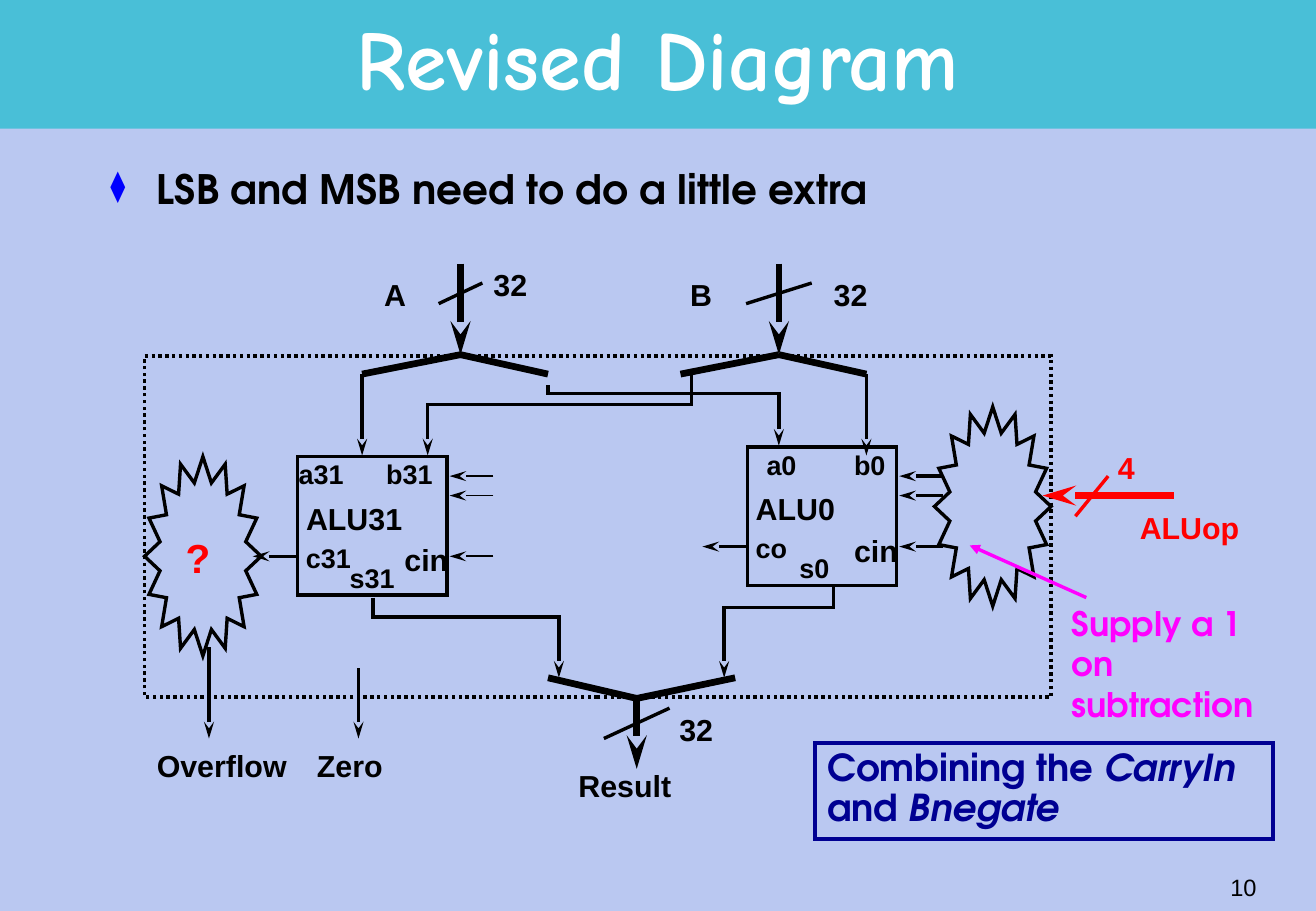
from lxml.etree import SubElement
from pptx import Presentation
from pptx.dml.color import RGBColor
from pptx.enum.dml import MSO_LINE
from pptx.enum.shapes import MSO_CONNECTOR, MSO_SHAPE
from pptx.enum.text import MSO_ANCHOR, PP_ALIGN
from pptx.oxml.ns import qn
from pptx.util import Inches, Pt

BACKGROUND = RGBColor(0xBA, 0xC8, 0xF1)
BANNER = RGBColor(0x49, 0xBF, 0xD7)
BLACK = RGBColor(0, 0, 0)
WHITE = RGBColor(255, 255, 255)
RED = RGBColor(255, 0, 0)
MAGENTA = RGBColor(255, 0, 255)
NAVY = RGBColor(0, 0, 0x92)
BODY_FONT = "TeX Gyre Adventor"
TITLE_FONT = "Comic Neue"
LABEL_FONT = "Arial"
ARROW_LENGTHS = {"stealth": "lg", "triangle": "med"}


def set_line(line, color, width, arrow=None):
    line.color.rgb = color
    line.width = Pt(width)
    outline = line._get_or_add_ln()
    SubElement(outline, qn("a:miter"), lim="800000")
    if arrow:
        SubElement(outline, qn("a:tailEnd"), type=arrow, w="med",
                   len=ARROW_LENGTHS[arrow])


def add_wire(page, start, end, width=2, arrow=None, color=BLACK):
    wire = page.shapes.add_connector(
        MSO_CONNECTOR.STRAIGHT, *[Inches(n) for n in (*start, *end)])
    set_line(wire.line, color, width, arrow)
    SubElement(wire._element.spPr, qn("a:effectLst"))


def add_bent_wire(page, points):
    corners = [(Inches(x), Inches(y)) for x, y in points]
    builder = page.shapes.build_freeform(*corners[0])
    builder.add_line_segments(corners[1:], close=False)
    wire = builder.convert_to_shape()
    wire.fill.background()
    wire.shadow.inherit = False
    set_line(wire.line, BLACK, 2, "stealth")


def add_outline(page, kind, box, color=BLACK, width=2):
    shape = page.shapes.add_shape(kind, *[Inches(n) for n in box])
    shape.fill.background()
    shape.shadow.inherit = False
    set_line(shape.line, color, width)
    return shape


def format_text(frame, size, color, font=LABEL_FONT, bold=True,
                align=PP_ALIGN.LEFT, spacing=1.0):
    for para in frame.paragraphs:
        para.alignment = align
        para.line_spacing = spacing
        for span in para.runs:
            span.font.size = Pt(size)
            span.font.name = font
            span.font.bold = bold
            span.font.color.rgb = color


def add_text(page, text, box, size, color, wrap=True,
             anchor=MSO_ANCHOR.TOP, insets=(0.1, 0.05), **style):
    frame = page.shapes.add_textbox(*[Inches(n) for n in box]).text_frame
    frame.margin_left = frame.margin_right = Inches(insets[0])
    frame.margin_top = frame.margin_bottom = Inches(insets[1])
    frame.word_wrap = wrap
    frame.vertical_anchor = anchor
    frame.text = text
    format_text(frame, size, color, **style)
    return frame


def add_label(page, text, left, top, width, color=BLACK, align=PP_ALIGN.LEFT):
    add_text(page, text, (left, top, width, 0.31), 18, color, wrap=False,
             insets=(0.07, 0.03), spacing=0.85, align=align)


def draw_header(page, box):
    banner = page.shapes.add_shape(
        MSO_SHAPE.RECTANGLE, *[Inches(n) for n in box])
    banner.fill.solid()
    banner.fill.fore_color.rgb = BANNER
    banner.line.fill.background()
    banner.shadow.inherit = False
    left, top, width, height = box
    add_text(page, "Revised Diagram",
             (left + 0.81, top + 0.04, width - 1.62, height - 0.07), 50, WHITE,
             font=TITLE_FONT, align=PP_ALIGN.CENTER, spacing=0.85,
             anchor=MSO_ANCHOR.MIDDLE)


def draw_bullet(page, box):
    frame = add_text(page, "LSB and MSB need to do a little extra", box, 24,
                     BLACK, font=BODY_FONT, spacing=0.9)
    properties = frame.paragraphs[0]._p.get_or_add_pPr()
    properties.set("marL", str(Inches(0.38)))
    properties.set("indent", str(-Inches(0.38)))
    bullet_color = SubElement(properties, qn("a:buClr"))
    SubElement(bullet_color, qn("a:srgbClr"), val="0000FF")
    SubElement(properties, qn("a:buSzPct"), val="75000")
    SubElement(properties, qn("a:buChar"), char="⧫")


def draw_operand(page, left, top, name, name_dx, slash, count_at):
    peak = (left, top + 0.75)
    add_wire(page, (left, top), peak, 4, "stealth")
    add_wire(page, (left - slash, top + 0.33), (left + slash, top + 0.16))
    for dx in (-0.81, 0.72):
        add_wire(page, peak, (left + dx, top + 0.91), 4)
    add_label(page, name, left + name_dx, top + 0.12, 0.35)
    add_label(page, "32", left + count_at[0], top + count_at[1], 0.45)


def draw_alu(page, left, top, bit, carry, input_dx, control_dy, input_width):
    add_outline(page, MSO_SHAPE.RECTANGLE, (left, top, 1.23, 1.14))
    labels = [("ALU" + bit, -0.03, 0.31, 1.08, 18),
              ("a" + bit, input_dx, -0.04, 0.63, 16),
              ("b" + bit, input_dx + 0.72, -0.04, 0.63, 16),
              ("cin", 0.78, 0.65, 0.6, 18),
              (carry, -0.03, 0.65, 0.63, 16),
              ("s" + bit, 0.33, 0.81, 0.63, 16)]
    for text, dx, dy, width, size in labels:
        add_text(page, text, (left + dx, top + dy, width, 0.37), size, BLACK,
                 wrap=False)
    add_wire(page, (left - 0.01, top + 0.82), (left - 0.37, top + 0.82),
             2, "stealth")
    for dy in (control_dy, control_dy + 0.16, 0.82):
        add_wire(page, (left + 1.61, top + dy), (left + 1.25, top + dy),
                 input_width, "stealth")


def draw_result(page, left, top):
    for dx in (-0.73, 0.81):
        add_wire(page, (left + dx, top - 0.17), (left, top), 4)
    add_wire(page, (left, top), (left, top + 0.58), 4, "stealth")
    add_wire(page, (left - 0.27, top + 0.33), (left + 0.27, top + 0.08))
    add_label(page, "32", left + 0.28, top + 0.12, 0.45)
    add_label(page, "Result", left - 0.55, top + 0.58, 0.98)


def draw_control(page, left, top):
    add_outline(page, MSO_SHAPE.STAR_16_POINT, (left, top, 0.96, 1.64))
    add_wire(page, (left + 1.97, top + 0.73), (left + 0.89, top + 0.73),
             4, "stealth", RED)
    add_wire(page, (left + 1.16, top + 0.9), (left + 1.43, top + 0.57),
             color=RED)
    add_label(page, "4", left + 1.44, top + 0.36, 0.28, RED)
    add_label(page, "ALUop", left + 1.62, top + 0.86, 0.96, RED)
    add_wire(page, (left + 1.25, top + 1.57), (left + 0.29, top + 1.14),
             2, "triangle", MAGENTA)
    add_text(page, "Supply a 1 on subtraction",
             (left + 1.03, top + 1.56, 1.82, 1.1), 20, MAGENTA, font=BODY_FONT)


def draw_flags(page, left, top):
    add_outline(page, MSO_SHAPE.STAR_16_POINT, (left, top, 0.96, 1.64))
    add_text(page, "?", (left + 0.24, top + 0.58, 0.44, 0.5), 24, RED,
             wrap=False)
    for name, dx, start, label_dx, width in (
            ("Overflow", 0.53, 1.57, -0.02, 1.31),
            ("Zero", 1.76, 1.74, 1.32, 0.74)):
        add_wire(page, (left + dx, top + start), (left + dx, top + 2.32),
                 2, "stealth")
        add_label(page, name, left + label_dx, top + 2.41, width,
                  align=PP_ALIGN.CENTER)


def draw_datapath(page, box):
    left, top, width, height = box
    frame = add_outline(page, MSO_SHAPE.RECTANGLE, box)
    frame.line.dash_style = MSO_LINE.ROUND_DOT
    draw_operand(page, left + 2.6, top - 0.76, "A", -0.7, 0.18, (0.2, 0.04))
    draw_operand(page, left + 5.22, top - 0.76, "B", -0.8, 0.27, (0.38, 0.12))
    draw_alu(page, left + 1.26, top + 0.83, "31", "c31", -0.09, 0.16, 1)
    draw_alu(page, left + 4.96, top + 0.75, "0", "co", 0.06, 0.24, 2)
    for dx in (1.79, 5.94):
        add_wire(page, (left + dx, top + 0.15), (left + dx, top + 0.82),
                 2, "stealth")
    for start_x, end_x, start_y, bend_y, end_y in (
            (3.32, 5.22, 0.24, 0.31, 0.74),
            (4.5, 2.33, 0.15, 0.4, 0.82),
            (1.88, 3.41, 1.99, 2.15, 2.65),
            (5.67, 4.77, 1.9, 2.07, 2.65)):
        route = ((start_x, start_y), (start_x, bend_y),
                 (end_x, bend_y), (end_x, end_y))
        add_bent_wire(page, [(left + x, top + y) for x, y in route])
    draw_result(page, left + 4.05, top + height + 0.01)
    draw_control(page, left + width - 0.96, top + 0.42)
    draw_flags(page, left, top + 0.83)


def draw_note(page, box):
    note = add_outline(page, MSO_SHAPE.RECTANGLE, box, NAVY, 2.25)
    frame = note.text_frame
    frame.word_wrap = True
    frame.vertical_anchor = MSO_ANCHOR.TOP
    para = frame.paragraphs[0]
    for text, italic in (("Combining the ", False), ("CarryIn ", True),
                         ("and ", False), ("Bnegate", True)):
        span = para.add_run()
        span.text = text
        span.font.italic = italic
    format_text(frame, 22, NAVY, font=BODY_FONT, spacing=0.9)


def main():
    deck = Presentation()
    deck.slide_width = Inches(10.83)
    deck.slide_height = Inches(7.5)
    page = deck.slides.add_slide(deck.slide_layouts[6])
    page.background.fill.solid()
    page.background.fill.fore_color.rgb = BACKGROUND
    draw_header(page, (0, 0, 10.83, 1.06))
    draw_datapath(page, (1.19, 2.93, 7.46, 2.81))
    draw_bullet(page, (0.81, 1.35, 9.21, 0.6))
    draw_note(page, (6.71, 6.12, 3.77, 0.79))
    add_text(page, "10", (8.18, 7.05, 2.26, 0.5), 14, BLACK, bold=False,
             align=PP_ALIGN.RIGHT, anchor=MSO_ANCHOR.MIDDLE)
    deck.save("out.pptx")


if __name__ == "__main__":
    main()
